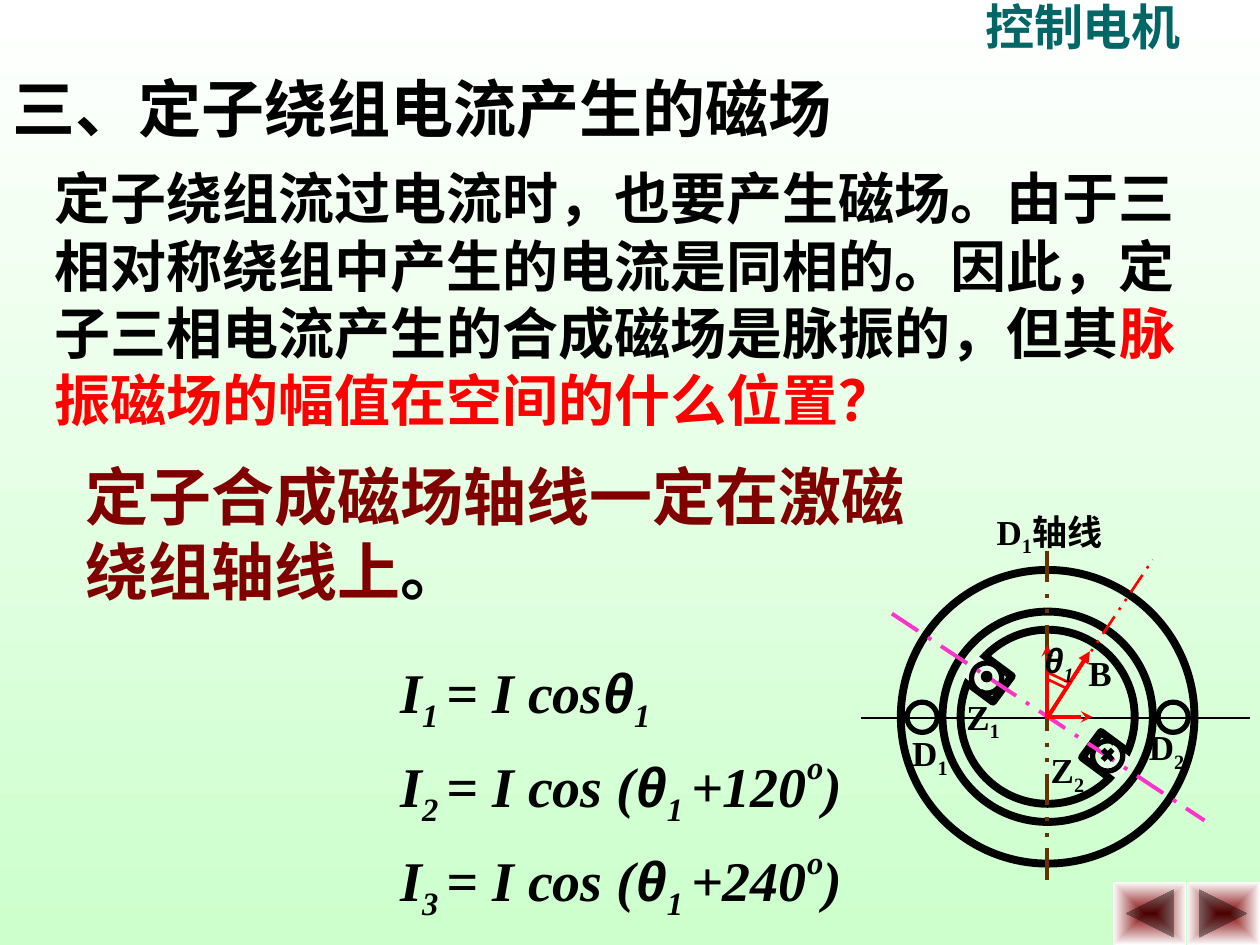
from lxml import etree
from pptx import Presentation
from pptx.dml.color import RGBColor
from pptx.enum.dml import MSO_LINE
from pptx.enum.shapes import MSO_CONNECTOR, MSO_SHAPE
from pptx.enum.text import MSO_ANCHOR, MSO_AUTO_SIZE, PP_ALIGN
from pptx.oxml.ns import qn
from pptx.util import Cm, Pt

OVAL, RECT = MSO_SHAPE.OVAL, MSO_SHAPE.RECTANGLE
BACK = MSO_SHAPE.ACTION_BUTTON_BACK_OR_PREVIOUS
DOT, DOTS = MSO_LINE.LONG_DASH_DOT, MSO_LINE.DASH_DOT_DOT
STRAIGHT = MSO_CONNECTOR.STRAIGHT
FIT, TOP, LEFT = MSO_AUTO_SIZE.SHAPE_TO_FIT_TEXT, MSO_ANCHOR.TOP, PP_ALIGN.LEFT

HUES = {
    "black": "000000", "white": "FFFFFF", "mint": "CCFFCC", "pale": "E7FFE7",
    "teal": "006666", "red": "FF0000", "wine": "800000", "pink": "FF33CC",
    "brown": "663300",
}
INK = {name: RGBColor.from_string(code) for name, code in HUES.items()}

deck = Presentation()
deck.slide_width, deck.slide_height = Cm(25.4), Cm(19.05)
slide = deck.slides.add_slide(deck.slide_layouts[5])
shapes = slide.shapes

back = slide.background.fill
back.gradient()
back.gradient_angle = 270
for stop, hue in zip(back.gradient_stops, ("white", "mint")):
    stop.color.rgb = INK[hue]


def say(par, text, size=20, hue="black", face="Times New Roman", slant=False, base=0):
    run = par.add_run()
    run.text = text
    font = run.font
    font.size, font.name = Pt(size), face
    font.bold, font.italic = True, slant
    font.color.rgb = INK[hue]
    if base:
        run._r.get_or_add_rPr().set("baseline", str(base * 1000))


def mark(kind, x, y, size, turn=0, fill=None, width=0):
    shape = shapes.add_shape(kind, Cm(x - size / 2), Cm(y - size / 2), Cm(size), Cm(size))
    shape.rotation = turn
    shape.shadow.inherit = False
    if fill:
        shape.fill.solid()
        shape.fill.fore_color.rgb = INK[fill]
    else:
        shape.fill.background()
    if width:
        shape.line.width = Pt(width)
        shape.line.color.rgb = INK["black"]
    else:
        shape.line.fill.background()


for size in (5.92, 4.24, 3.51):
    mark(OVAL, 21.12, 14.45, size, width=4.5)

slots = [
    (19.95, 13.7, 19.74, 13.56, 19.89, 13.67, 0),
    (22.26, 15.2, 22.5, 15.37, 22.33, 15.24, 180),
]
for sx, sy, gx, gy, cx, cy, turn in slots:
    mark(RECT, sx, sy, 0.64, turn + 36.5, width=4.5)
    mark(RECT, gx, gy, 0.51, turn + 37.2, fill="pale")
    mark(OVAL, cx, cy, 0.61, width=3)
for x in (23.65, 18.59):
    mark(OVAL, x, 14.46, 0.61, width=3)

lines = [
    (17.35, 14.48, 25.2, 14.48, "black", 1, None, None),
    (17.98, 12.37, 24.28, 16.54, "pink", 2.25, DOT, None),
    (21.11, 11.1, 21.11, 17.88, "brown", 2.25, DOTS, None),
    (22.23, 15.11, 22.43, 15.32, "black", 3, None, None),
    (22.43, 15.11, 22.23, 15.32, "black", 3, None, None),
    (21.11, 14.48, 21.97, 13.13, "red", 2.25, None, "triangle"),
    (21.11, 14.5, 21.11, 13, "red", 2.25, None, "stealth"),
    (21.16, 14.45, 22.02, 14.45, "red", 2.25, None, "stealth"),
    (21.11, 14.45, 23.24, 11.28, "red", 1.5, DOTS, None),
]
for x1, y1, x2, y2, hue, width, dash, head in lines:
    line = shapes.add_connector(STRAIGHT, Cm(x1), Cm(y1), Cm(x2), Cm(y2))
    line.line.color.rgb = INK[hue]
    line.line.width = Pt(width)
    if dash:
        line.line.dash_style = dash
    if head:
        etree.SubElement(line.line._ln, qn("a:tailEnd")).set("type", head)
    etree.SubElement(line._element.spPr, qn("a:effectLst"))
mark(OVAL, 19.89, 13.64, 0.2, fill="black", width=1)

for x, y in ((21.13, 13.56), (21.11, 13.69)):
    pen = shapes.build_freeform(Cm(x), Cm(y))
    pen.add_line_segments([(Cm(x + 0.25), Cm(y + 0.12)), (Cm(x + 0.42), Cm(y + 0.2))], close=False)
    arc = pen.convert_to_shape()
    arc.shadow.inherit = False
    arc.fill.background()
    arc.line.color.rgb = INK["red"]
    arc.line.width = Pt(1.5)

low = {"base": -25}
theta = {"face": "Arial", "slant": True}
math = {"size": 32, "slant": True}
sub = {**math, **low}
texts = [
    (0, 1.27, 17.15, 1.78, [("三、定子绕组电流产生的磁场", {"size": 36})]),
    (19.61, -0.2, 4.88, 1.45, [("控制电机", {"size": 28, "hue": "teal"})]),
    (0.84, 3.18, 23.5, 5.69, [
        ("定子绕组流过电流时，也要产生磁场。由于三相对称绕组中产生的电流是同相的。"
         "因此，定子三相电流产生的合成磁场是脉振的，但其", {"size": 32}),
        ("脉振磁场的幅值在空间的什么位置？", {"size": 32, "hue": "red"})]),
    (1.47, 9.09, 17.58, 3.3, [
        ("定子合成磁场轴线一定在激磁绕组轴线上", {"size": 36, "hue": "wine"}),
        ("。", {"size": 36})]),
    (19.84, 10.16, 2.74, 2.08, [("D", {}), ("1", low), ("轴线", {})]),
    (21.69, 13, 1.07, 1.12, [("B", {})]),
    (20.8, 12.75, 1.37, 1.22, [("θ", theta), ("1", {"slant": True, **low})]),
]
for x, y, name, num in ((19.23, 13.89, "Z", "1"), (20.93, 14.96, "Z", "2"),
                        (18.14, 14.63, "D", "1"), (22.91, 14.5, "D", "2")):
    texts.append((x, y, 1.27, 1.22, [(name, {}), (num, low)]))

angle = ("θ", {**math, **theta})
texts.append((7.82, 13.13, 6.35, 1.8, [
    ("I", math), ("1 ", sub), ("= I cos", math), angle, ("1", sub)]))
for y, num, shift in ((14.94, "2 ", "+120"), (16.84, "3 ", "+240")):
    texts.append((7.82, y, 9.53, 1.88, [
        ("I", math), (num, sub), ("= I cos (", math), angle, ("1 ", sub),
        (shift, math), ("o", {**math, "base": 50}), (")", math)]))

for i, (x, y, w, h, runs) in enumerate(texts):
    place = Cm(x), Cm(y), Cm(w), Cm(h)
    if i == 0:
        box = shapes.title
        box.left, box.top, box.width, box.height = place
    else:
        box = shapes.add_textbox(*place)
    frame = box.text_frame
    frame.word_wrap = True
    frame.auto_size = FIT
    frame.vertical_anchor = TOP
    par = frame.paragraphs[0]
    par.alignment = LEFT
    for text, form in runs:
        say(par, text, **form)

for x, turn in ((22.44, 0), (23.92, 180)):
    button = shapes.add_shape(BACK, Cm(x), Cm(17.78), Cm(1.48), Cm(1.27))
    button.rotation = turn
    button.shadow.inherit = False
    button.line.fill.background()
    button.fill.gradient()
    for stop, hue in zip(button.fill.gradient_stops, ("wine", "white")):
        stop.color.rgb = INK[hue]
    grad = button._element.spPr.find(qn("a:gradFill"))
    grad.remove(grad.find(qn("a:lin")))
    rect = etree.SubElement(grad, qn("a:path"), path="rect")
    etree.SubElement(rect, qn("a:fillToRect"), l="50000", t="50000", r="50000", b="50000")

deck.save("out.pptx")
